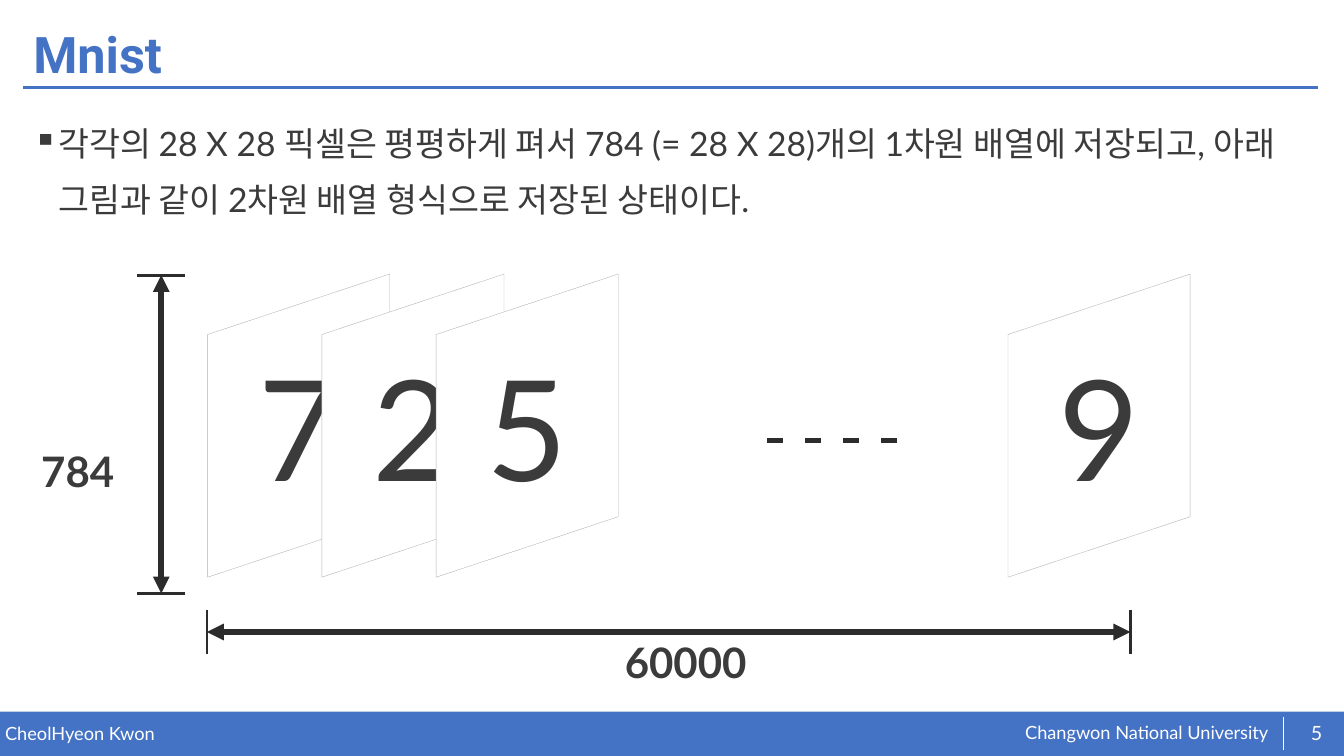
from lxml import etree
from pptx import Presentation
from pptx.dml.color import RGBColor
from pptx.enum.shapes import MSO_CONNECTOR, MSO_SHAPE
from pptx.enum.text import MSO_ANCHOR, MSO_AUTO_SIZE, PP_ALIGN
from pptx.oxml.ns import qn
from pptx.util import Inches, Pt

LINE, RECT = MSO_CONNECTOR.STRAIGHT, MSO_SHAPE.RECTANGLE
LEFT, CENTER = PP_ALIGN.LEFT, PP_ALIGN.CENTER
TOP, MIDDLE = MSO_ANCHOR.TOP, MSO_ANCHOR.MIDDLE
NO_FIT = MSO_AUTO_SIZE.NONE
BLUE, WHITE, INK, ARROW, EDGE = "4472C4", "FFFFFF", "3B3B3B", "2C2C2C", "B0B0B0"
WIDTH, HEIGHT = Inches(13.33), Inches(7.5)

BODY = ("각각의 28 X 28 픽셀은 평평하게 펴서 784 (= 28 X 28)개의 1차원 배열에 저장되고, "
        "아래 그림과 같이 2차원 배열 형식으로 저장된 상태이다.")


# Positions are percentages of the slide's width and height
def px(share):
    return round(WIDTH * share / 100)


def py(share):
    return round(HEIGHT * share / 100)


def box(x, y, w, h):
    return px(x), py(y), px(w), py(h)


def color(hex_code):
    return RGBColor.from_string(hex_code)


def write(sp, text, size, ink=INK, font="Lato", bold=False, align=LEFT,
          anchor=TOP, spacing=1.0, inset=True, bullet=None):
    tf = sp.text_frame
    tf.word_wrap, tf.auto_size, tf.vertical_anchor = True, NO_FIT, anchor
    if not inset:
        tf.margin_left = tf.margin_right = tf.margin_top = tf.margin_bottom = 0
    p = tf.paragraphs[0]
    p.alignment, p.line_spacing, p.space_before = align, spacing, Pt(0)
    if bullet:
        pPr = p._p.get_or_add_pPr()
        pPr.set("marL", str(Inches(0.25)))
        pPr.set("indent", str(-Inches(0.25)))
        etree.SubElement(pPr, qn("a:buChar")).set("char", bullet)
    r = p.add_run()
    r.text = text
    r.font.name, r.font.size, r.font.bold = font, Pt(size), bold
    r.font.color.rgb = color(ink)


def add_text(s, area, text, size, **fmt):
    write(s.shapes.add_textbox(*box(*area)), text, size, **fmt)


def add_line(s, x1, y1, x2, y2, ink, width, arrows=False):
    c = s.shapes.add_connector(LINE, px(x1), py(y1), px(x2), py(y2))
    c.line.color.rgb, c.line.width = color(ink), Pt(width)
    if arrows:
        ln = c.line._get_or_add_ln()
        for end in ("a:headEnd", "a:tailEnd"):
            etree.SubElement(ln, qn(end)).set("type", "triangle")
    etree.SubElement(c._element.spPr, qn("a:effectLst"))


def add_dimension(s, x1, y1, x2, y2, tick_x=0, tick_y=0):
    """Double arrow with a tick across each end."""
    add_line(s, x1, y1, x2, y2, ARROW, 4, arrows=True)
    for x, y in ((x1, y1), (x2, y2)):
        add_line(s, x - tick_x, y - tick_y, x + tick_x, y + tick_y, ARROW, 2)


def add_card(s, x, digit, y=36.25, w=13.55, h=40.1, slant=8):
    """Slanted sheet holding one digit."""
    fb = s.shapes.build_freeform(px(x), py(y + slant))
    fb.add_line_segments([(px(x + w), py(y)), (px(x + w), py(y + h - slant)),
                          (px(x), py(y + h))], close=True)
    sp = fb.convert_to_shape()
    sp.shadow.inherit = False
    sp.fill.solid()
    sp.fill.fore_color.rgb = color(WHITE)
    sp.line.color.rgb, sp.line.width = color(EDGE), Pt(0.25)
    write(sp, digit, 100, align=CENTER, anchor=MIDDLE)


def add_footer(s):
    band = s.shapes.add_shape(RECT, *box(0, 94.13, 100, 5.87))
    band.shadow.inherit = False
    band.fill.solid()
    band.fill.fore_color.rgb = color(BLUE)
    band.line.fill.background()
    small = dict(ink=WHITE, inset=False)
    add_text(s, (76.28, 95.47, 19, 3.07), "Changwon National University", 13, **small)
    add_text(s, (0.38, 95.6, 49.13, 2.93), "CheolHyeon Kwon", 13, **small)
    add_line(s, 95.5, 94.8, 95.5, 99.2, WHITE, 0.5)
    add_text(s, (96.15, 94.27, 3.6, 5.33), "5", 14, align=CENTER, anchor=MIDDLE, **small)


def add_heading(s):
    title = s.shapes.title
    title.left, title.top, title.width, title.height = box(1.73, 2.4, 96.45, 10.27)
    write(title, "Mnist", 36, ink=BLUE, font="Roboto", bold=True,
          anchor=MIDDLE, spacing=0.9)
    add_line(s, 1.73, 11.6, 98.1, 11.6, BLUE, 2)


def main():
    prs = Presentation()
    prs.slide_width, prs.slide_height = WIDTH, HEIGHT
    s = prs.slides.add_slide(prs.slide_layouts[5])

    # Frame and explanation
    add_footer(s)
    add_heading(s)
    add_text(s, (1.73, 13.47, 96.45, 20), BODY, 24, spacing=1.4, bullet="▪")

    # Row of digit sheets with an ellipsis before the last
    for i, digit in enumerate("725"):
        add_card(s, 15.45 + 8.5 * i, digit)
    for i in range(4):
        x = 57.08 + 2.83 * i
        add_line(s, x, 58.27, x + 1.15, 58.27, ARROW, 4)
    add_card(s, 75, "9")

    # Dimensions of the array
    add_dimension(s, 15.4, 83.6, 84.1, 83.6, tick_y=2.93)
    add_text(s, (45.75, 83.6, 11.85, 8.13), "60000", 30, bold=True)
    add_dimension(s, 12, 36.4, 12, 78.5, tick_x=1.8)
    add_text(s, (2.33, 58.27, 10, 8.13), "784", 30, bold=True)

    prs.save("out.pptx")


if __name__ == "__main__":
    main()
